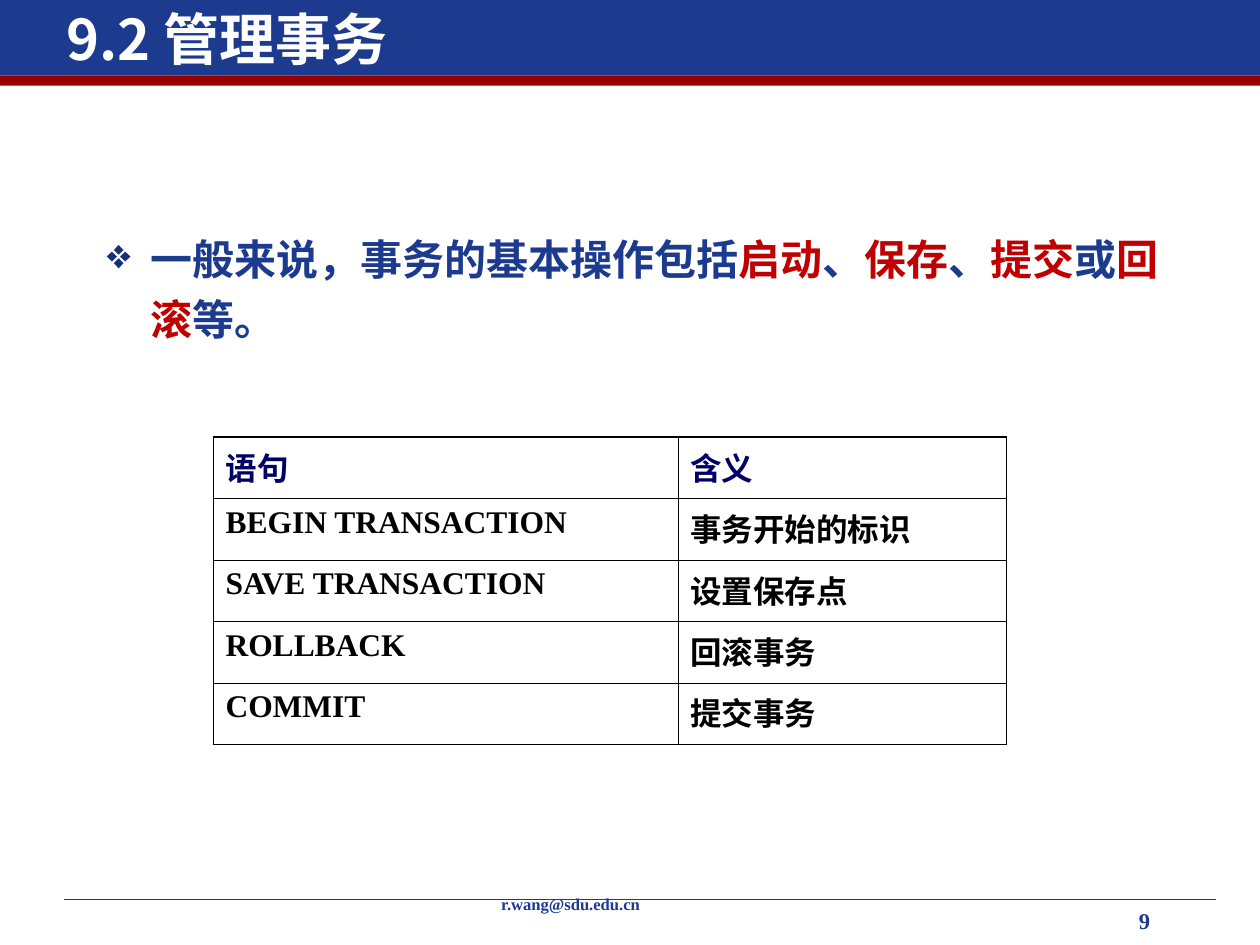
from lxml import etree
from pptx import Presentation
from pptx.dml.color import RGBColor
from pptx.enum.shapes import MSO_CONNECTOR, MSO_SHAPE
from pptx.enum.text import MSO_ANCHOR
from pptx.oxml.ns import qn
from pptx.util import Inches, Pt

RECTANGLE = MSO_SHAPE.RECTANGLE
STRAIGHT = MSO_CONNECTOR.STRAIGHT
TOP, MIDDLE = MSO_ANCHOR.TOP, MSO_ANCHOR.MIDDLE

# Content
BLUE, RED, DARK_RED, NAVY, BLACK, WHITE = (
    "1C3A8E", "C00000", "990000", "000066", "000000", "FFFFFF")
SERIF, SANS = "Times New Roman", "Noto Sans CJK SC"

TITLE = [("9.2 管理事务", WHITE)]
EMAIL = [("r.wang@sdu.edu.cn", BLUE)]
PAGE_NUMBER = [("9", BLUE)]
STATEMENT = [
    ("一般来说，事务的基本操作包括", BLUE), ("启动", RED), ("、", BLUE),
    ("保存", RED), ("、", BLUE), ("提交", RED), ("或", BLUE),
    ("回滚", RED), ("等。", BLUE),
]
COMMANDS = [
    ("语句", "含义"),
    ("BEGIN TRANSACTION", "事务开始的标识"),
    ("SAVE TRANSACTION", "设置保存点"),
    ("ROLLBACK", "回滚事务"),
    ("COMMIT", "提交事务"),
]
COLUMN_WIDTHS = (3.69, 2.61)
TABLE_LEFT, TABLE_TOP, TABLE_HEIGHT = 1.69, 3.47, 2.44
OUTER, HEADER_RULE, INNER = 0.96, 0.45, 0.34


def color(value):
    return RGBColor.from_string(value)


def format_run(run, size, value, latin=SERIF):
    font = run.font
    font.size, font.bold, font.name = Pt(size), True, latin
    font.color.rgb = color(value)
    east_asian = etree.SubElement(run._r.get_or_add_rPr(), qn("a:ea"))
    east_asian.set("typeface", SANS)


def add_text(slide, box, runs, size, latin=SERIF, anchor=TOP, spacing=1.0):
    frame = slide.shapes.add_textbox(*map(Inches, box)).text_frame
    frame.word_wrap, frame.vertical_anchor = True, anchor
    paragraph = frame.paragraphs[0]
    paragraph.line_spacing = spacing
    for text, value in runs:
        run = paragraph.add_run()
        run.text = text
        format_run(run, size, value, latin)
    return paragraph


def add_bullet(paragraph, symbol, value, indent):
    properties = paragraph._p.get_or_add_pPr()
    properties.set("marL", str(Inches(indent)))
    properties.set("indent", str(-Inches(indent)))
    bullet_color = etree.SubElement(properties, qn("a:buClr"))
    etree.SubElement(bullet_color, qn("a:srgbClr")).set("val", value)
    etree.SubElement(properties, qn("a:buChar")).set("char", symbol)


def add_band(slide, box, value):
    band = slide.shapes.add_shape(RECTANGLE, *map(Inches, box))
    band.shadow.inherit = False
    band.fill.solid()
    band.fill.fore_color.rgb = color(value)
    band.line.fill.background()


def set_borders(cell, top, bottom):
    properties = cell._tc.get_or_add_tcPr()
    widths = {"lnL": INNER, "lnR": INNER, "lnT": top, "lnB": bottom}
    for position, (side, width) in enumerate(widths.items()):
        border = etree.Element(qn(f"a:{side}"), w=str(Pt(width)))
        fill = etree.SubElement(border, qn("a:solidFill"))
        etree.SubElement(fill, qn("a:srgbClr")).set("val", BLACK)
        properties.insert(position, border)


def add_command_table(slide):
    table = slide.shapes.add_table(
        len(COMMANDS), len(COLUMN_WIDTHS), Inches(TABLE_LEFT), Inches(TABLE_TOP),
        Inches(sum(COLUMN_WIDTHS)), Inches(TABLE_HEIGHT)).table
    table.first_row = table.horz_banding = False
    for column, width in zip(table.columns, COLUMN_WIDTHS):
        column.width = Inches(width)
    rules = [OUTER, HEADER_RULE] + [INNER] * (len(COMMANDS) - 2) + [OUTER]
    for row, texts in enumerate(COMMANDS):
        for column, text in enumerate(texts):
            cell = table.cell(row, column)
            cell.text_frame.text = text
            run = cell.text_frame.paragraphs[0].runs[0]
            format_run(run, 18, BLACK if row else NAVY)
            cell.fill.background()
            set_borders(cell, rules[row], rules[row + 1])


def main():
    presentation = Presentation()
    presentation.slide_width, presentation.slide_height = Inches(10), Inches(7.5)
    slide = presentation.slides.add_slide(presentation.slide_layouts[6])

    # Header bands and footer rule
    add_band(slide, (0, -0.03, 10, 0.63), BLUE)
    add_band(slide, (0, 0.6, 10, 0.08), DARK_RED)
    rule = slide.shapes.add_connector(
        STRAIGHT, Inches(0.51), Inches(7.14), Inches(9.65), Inches(7.14))
    rule.line.color.rgb = color(BLUE)
    rule.line.width = Pt(0.75)
    etree.SubElement(rule._element.spPr, qn("a:effectLst"))

    # Title and footer
    add_text(slide, (0.43, -0.03, 7.8, 0.67), TITLE, 32, SANS, MIDDLE)
    add_text(slide, (8.94, 7.17, 1.06, 0.33), PAGE_NUMBER, 12.9, spacing=0.9)
    add_text(slide, (3.88, 7.08, 3.17, 0.27), EMAIL, 9.5, spacing=0.8)

    # Table and statement
    add_command_table(slide)
    statement = add_text(slide, (0.75, 1.72, 8.74, 1.18), STATEMENT, 24, spacing=1.2)
    add_bullet(statement, "❖", "163078", 0.35)

    presentation.save("out.pptx")


if __name__ == "__main__":
    main()
